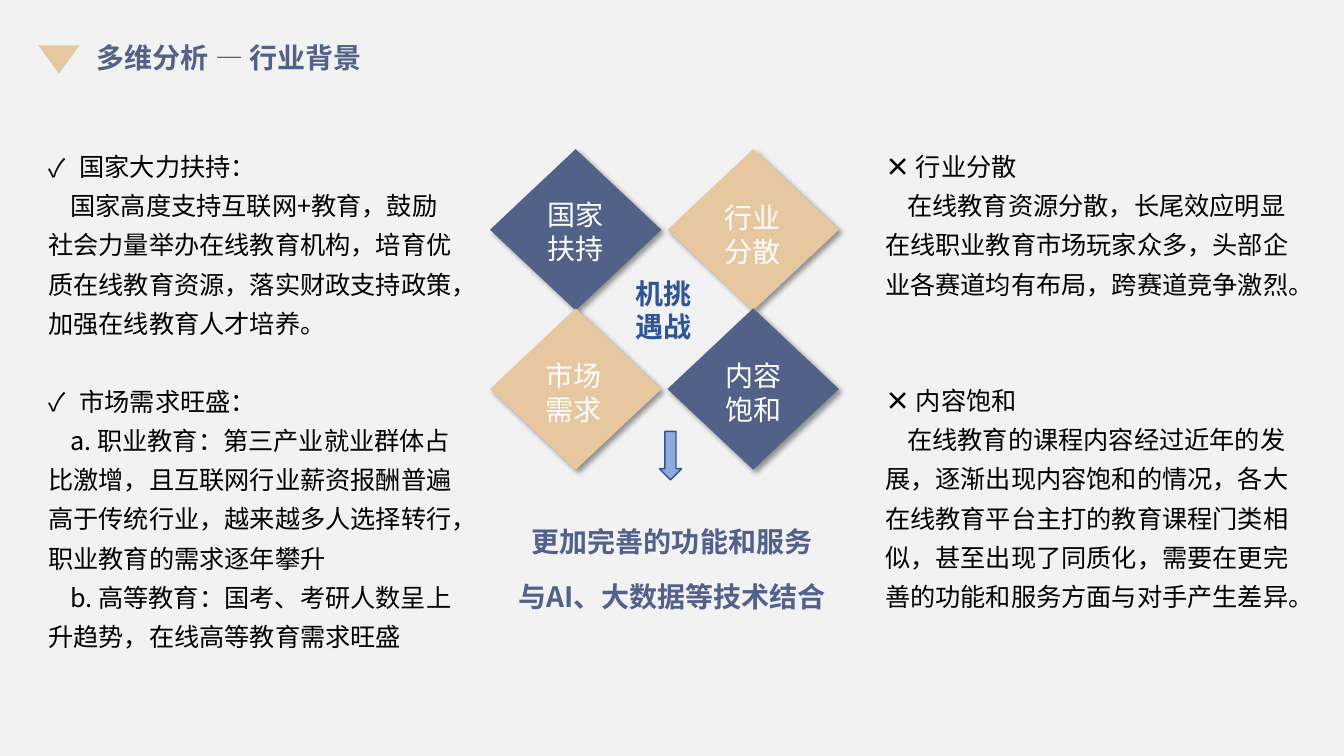
from dataclasses import dataclass

from lxml import etree
from pptx import Presentation
from pptx.dml.color import RGBColor
from pptx.enum import shapes, text
from pptx.oxml import ns
from pptx.util import Inches, Pt

SHAPE = shapes.MSO_SHAPE
ALIGN = text.PP_ALIGN


@dataclass(frozen=True)
class Theme:
    font: str = "Noto Sans CJK SC"
    back: str = "F2F2F2"
    navy: str = "526188"
    sand: str = "E7C7A0"
    blue: str = "2F5597"
    slate: str = "52618A"
    sky: str = "8FAADC"
    edge: str = "325491"
    black: str = "000000"
    white: str = "FFFFFF"
    head: int = 20
    body: int = 18


@dataclass(frozen=True)
class Box:
    left: float
    top: float
    width: float
    height: float

    def place(self) -> tuple:
        return tuple(Inches(n) for n in (self.left, self.top, self.width, self.height))


@dataclass(frozen=True)
class Run:
    words: str
    bold: bool = False


@dataclass(frozen=True)
class Para:
    runs: tuple
    align: ALIGN = ALIGN.LEFT
    line: float = 1.0
    before: float = 0
    indent: float = 0
    bullet: str = ""


@dataclass(frozen=True)
class Label:
    box: Box
    paras: tuple
    color: str
    size: int


THEME = Theme()
GAP = 27.4
HANG = 0.31


def head(box: Box, *lines: str, color: str = THEME.white, bold: bool = False,
         align: ALIGN = ALIGN.LEFT) -> Label:
    paras = tuple(Para((Run(line, bold),), align) for line in lines)
    return Label(box, paras, color, THEME.head)


def point(words: str, before: float = 0) -> Para:
    return Para((Run(words),), line=1.3, before=before, indent=-HANG, bullet="✓")


def cross(mark: Run, name: Run, before: float = 0) -> Para:
    return Para((mark, name), line=1.3, before=before)


def prose(words: str) -> Para:
    return Para((Run(words),), line=1.3, indent=0.22)


GEMS = (
    (THEME.navy, THEME.sand),
    (THEME.sand, THEME.navy),
)

LABELS = (
    head(Box(5.33, 1.91, 0.82, 0.77), "国家扶持"),
    head(Box(5.31, 3.51, 0.85, 0.77), "市场", "需求"),
    head(Box(7.09, 1.94, 0.82, 0.77), "行业分散"),
    head(Box(7.1, 3.51, 0.96, 0.77), "内容饱和"),
    head(Box(0.86, 0.35, 5.83, 0.44), "多维分析 — 行业背景", color=THEME.navy, bold=True),
    head(Box(6.14, 2.69, 0.89, 0.77), "机挑", "遇战", color=THEME.blue, bold=True,
         align=ALIGN.CENTER),
    head(Box(4.97, 5.15, 3.39, 0.44), "更加完善的功能和服务", color=THEME.slate, bold=True,
         align=ALIGN.CENTER),
    head(Box(4.97, 5.7, 3.39, 0.44), "与AI、大数据等技术结合", color=THEME.slate, bold=True,
         align=ALIGN.CENTER),
    Label(Box(0.38, 1.36, 4.22, 5.21), (
        point("国家大力扶持："),
        prose("国家高度支持互联网+教育，鼓励社会力量举办在线教育机构，培育优质在线教育资源，"
              "落实财政支持政策，加强在线教育人才培养。"),
        point("市场需求旺盛：", GAP),
        prose("a. 职业教育：第三产业就业群体占比激增，且互联网行业薪资报酬普遍高于传统行业，"
              "越来越多人选择转行，职业教育的需求逐年攀升"),
        prose("b. 高等教育：国考、考研人数呈上升趋势，在线高等教育需求旺盛"),
    ), THEME.black, THEME.body),
    Label(Box(8.68, 1.36, 4.26, 4.82), (
        cross(Run("×", True), Run(" 行业分散")),
        prose("在线教育资源分散，长尾效应明显在线职业教育市场玩家众多，头部企业各赛道均有布局，"
              "跨赛道竞争激烈。"),
        cross(Run("× ", True), Run("内容饱和"), 2 * GAP),
        prose("在线教育的课程内容经过近年的发展，逐渐出现内容饱和的情况，"
              "各大在线教育平台主打的教育课程门类相似，甚至出现了同质化，"
              "需要在更完善的功能和服务方面与对手产生差异。"),
    ), THEME.black, THEME.body),
)


def node(root, tag: str, **attrs: str):
    return etree.SubElement(root, ns.qn(tag), attrs)


def draw_shape(slide, kind: SHAPE, box: Box, fill: str, edge: str = ""):
    shape = slide.shapes.add_shape(kind, *box.place())
    shape.shadow.inherit = False
    shape.fill.solid()
    shape.fill.fore_color.rgb = RGBColor.from_string(fill)
    if edge:
        shape.line.color.rgb = RGBColor.from_string(edge)
        shape.line.width = Pt(1)
    else:
        shape.line.fill.background()
    return shape


def cast(shape) -> None:
    glow = shape.element.spPr.find(ns.qn("a:effectLst"))
    shade = node(glow, "a:outerShdw", blurRad=str(Pt(4)), dist=str(Pt(3)),
                 dir=str(45 * 60000), algn="tl", rotWithShape="0")
    tint = node(shade, "a:srgbClr", val=THEME.black)
    node(tint, "a:alpha", val="40000")


def draw_para(line, para: Para, color: str, size: int) -> None:
    line.alignment = para.align
    line.line_spacing = para.line
    line.space_before = Pt(para.before)
    props = line._p.get_or_add_pPr()
    props.set("indent", str(Inches(para.indent)))
    if para.bullet:
        props.set("marL", str(Inches(-para.indent)))
        node(props, "a:buFont", typeface=THEME.font)
        node(props, "a:buChar", char=para.bullet)
    for part in para.runs:
        run = line.add_run()
        run.text = part.words
        run.font.name = THEME.font
        run.font.size = Pt(size)
        run.font.bold = part.bold
        run.font.color.rgb = RGBColor.from_string(color)
        node(run._r.get_or_add_rPr(), "a:ea", typeface=THEME.font)


def draw_label(slide, label: Label) -> None:
    frame = slide.shapes.add_textbox(*label.box.place()).text_frame
    frame.word_wrap = True
    frame.auto_size = text.MSO_AUTO_SIZE.SHAPE_TO_FIT_TEXT
    for rank, para in enumerate(label.paras):
        line = frame.add_paragraph() if rank else frame.paragraphs[0]
        draw_para(line, para, label.color, label.size)


def main() -> None:
    deck = Presentation()
    deck.slide_width, deck.slide_height = Inches(13.33), Inches(7.5)
    slide = deck.slides.add_slide(deck.slide_layouts[6])
    slide.background.fill.solid()
    slide.background.fill.fore_color.rgb = RGBColor.from_string(THEME.back)
    for row, fills in enumerate(GEMS):
        for col, fill in enumerate(fills):
            box = Box(4.86 + 1.76 * col, 1.48 + 1.58 * row, 1.7, 1.6)
            cast(draw_shape(slide, SHAPE.DIAMOND, box, fill))
    mark = draw_shape(slide, SHAPE.ISOSCELES_TRIANGLE, Box(0.38, 0.45, 0.41, 0.28), THEME.sand)
    mark.rotation = 180
    for label in LABELS:
        draw_label(slide, label)
    draw_shape(slide, SHAPE.DOWN_ARROW, Box(6.54, 4.28, 0.22, 0.48), THEME.sky, THEME.edge)
    deck.save("out.pptx")


if __name__ == "__main__":
    main()
